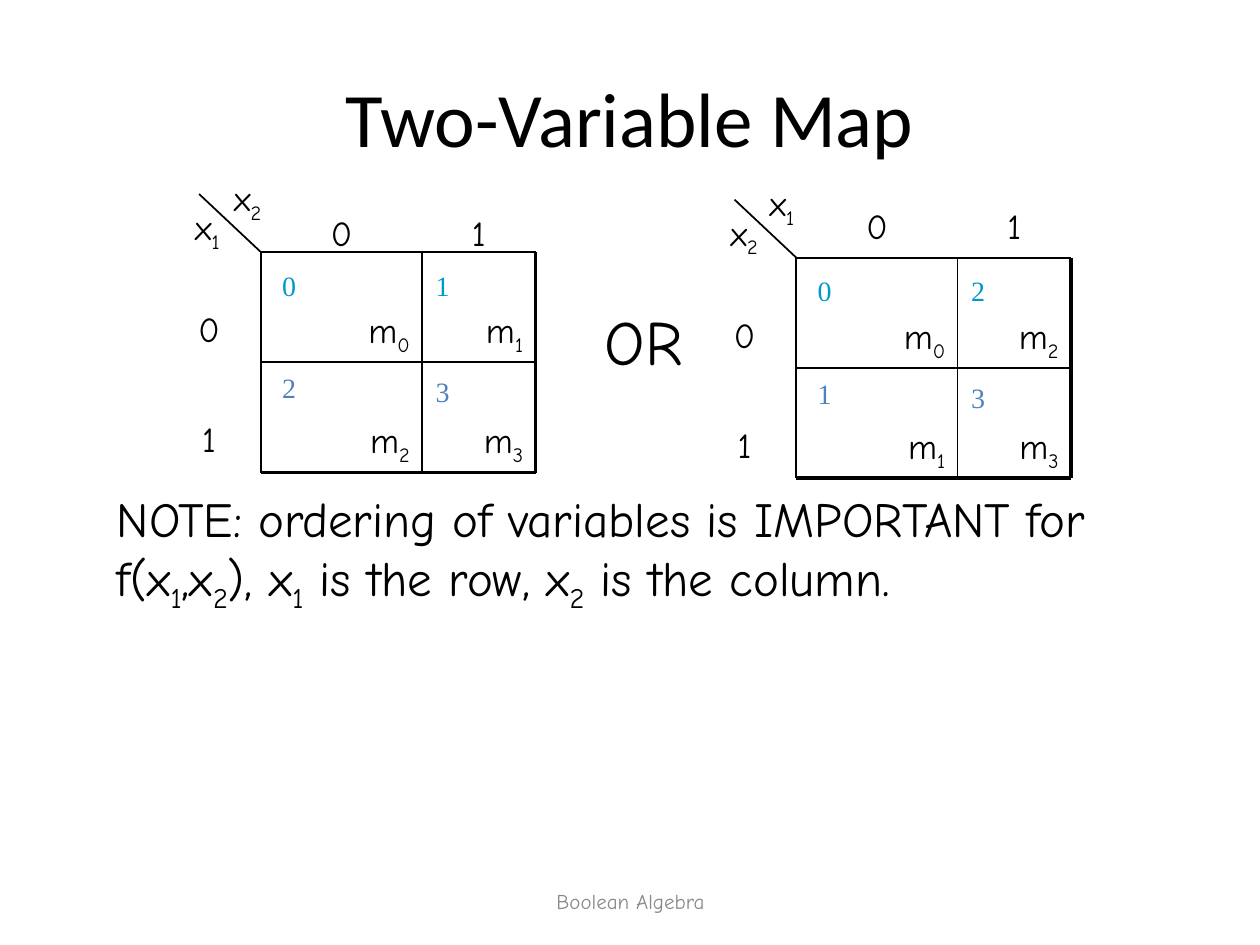
import pptx
import pptx.dml.color
import pptx.enum.shapes
import pptx.enum.text
import pptx.oxml.ns
import pptx.util
from dataclasses import dataclass
from lxml import etree


@dataclass(frozen=True)
class Theme:
    ink: str = "000000"
    muted: str = "898989"
    index_colors: tuple = ("0099CC", "4F81BD")
    title_font: str = "Calibri"
    body_font: str = "Comic Neue"
    index_font: str = "Times New Roman"
    title: int = 44
    joiner: int = 36
    note: int = 28
    label: int = 20
    index: int = 16
    footer: int = 12
    thin: float = 1
    thick: float = 2.25


theme = Theme()
align = pptx.enum.text.PP_ALIGN
anchors = pptx.enum.text.MSO_ANCHOR

deck = pptx.Presentation()
deck.slide_width, deck.slide_height = pptx.util.Inches(10), pptx.util.Inches(7.5)
slide = deck.slides.add_slide(deck.slide_layouts[6])

# The slide is a grid of 100 columns by 75 rows.
COLUMN = deck.slide_width // 100
ROW = deck.slide_height // 75


def add_text(text, left, top, width, height, size=theme.label, font=theme.body_font,
             color=theme.ink, alignment=align.LEFT, anchor=anchors.TOP, wrap=True,
             inset_rows=0.5):
    """Place text on the grid; an underscore makes the next character a subscript."""
    frame = slide.shapes.add_textbox(round(left * COLUMN), round(top * ROW),
                                     round(width * COLUMN), round(height * ROW)).text_frame
    frame.word_wrap = wrap
    frame.vertical_anchor = anchor
    frame.margin_top = round(inset_rows * ROW)
    paragraph = frame.paragraphs[0]
    paragraph.alignment = alignment
    first, *rest = text.split("_")
    pieces = [(first, False)]
    for part in rest:
        pieces += [(part[0], True), (part[1:], False)]
    for piece, subscript in pieces:
        if piece:
            run = paragraph.add_run()
            run.text = piece
            run.font.size = pptx.util.Pt(size)
            run.font.name = font
            run.font.color.rgb = pptx.dml.color.RGBColor.from_string(color)
            if subscript:
                run.font._element.set("baseline", "-25000")


def add_rule(x1, y1, x2, y2, weight=theme.thin):
    rule = slide.shapes.add_connector(
        pptx.enum.shapes.MSO_CONNECTOR.STRAIGHT,
        round(x1 * COLUMN), round(y1 * ROW), round(x2 * COLUMN), round(y2 * ROW))
    rule.line.color.rgb = pptx.dml.color.RGBColor.from_string(theme.ink)
    rule.line.width = pptx.util.Pt(weight)
    etree.SubElement(rule._element.spPr, pptx.oxml.ns.qn("a:effectLst"))


add_text("Two-Variable Map", 5, 3, 90, 12.5, size=theme.title, font=theme.title_font,
         alignment=align.CENTER, anchor=anchors.MIDDLE)
add_text("Boolean Algebra", 34.2, 69.5, 31.7, 4, size=theme.footer, color=theme.muted,
         alignment=align.CENTER, anchor=anchors.MIDDLE)

CELL_WIDTHS = (12.8, 9)
CELL_HEIGHT = 8.75
ROW_LABEL_WIDTH = 8.2
LABEL_DROP = 4.5  # labels sit in the lower half of their cell

# left, top, row variable, column variable, header rise, minterms by row
maps = [
    (20.7, 20, "x_1", "x_2", 7.7, ((0, 1), (2, 3))),
    (63.2, 20.45, "x_2", "x_1", 8.75, ((0, 2), (1, 3))),
]

for left, top, row_variable, column_variable, header_rise, minterms in maps:
    middle = left + CELL_WIDTHS[0]
    right = left + sum(CELL_WIDTHS)
    bottom = top + 2 * CELL_HEIGHT

    add_rule(left - 4.9, top - 4.6, left, top)
    for x, weight in ((left, theme.thin), (middle, theme.thin), (right, theme.thick)):
        add_rule(x, top, x, bottom, weight)
    for y, weight in ((top, theme.thin), (top + CELL_HEIGHT, theme.thin), (bottom, theme.thick)):
        add_rule(left, y, right, y, weight)

    add_text(row_variable, left - 6.2, top - 8.2, ROW_LABEL_WIDTH, CELL_HEIGHT,
             inset_rows=LABEL_DROP)
    add_text(column_variable, left - 3.1, top - 6.5, 5, 4.8, wrap=False)

    for column, (x, width) in enumerate(zip((left, middle), CELL_WIDTHS)):
        add_text(str(column), x, top - header_rise, width, CELL_HEIGHT,
                 alignment=align.CENTER, inset_rows=LABEL_DROP)

    for row, row_minterms in enumerate(minterms):
        y = top + row * CELL_HEIGHT
        add_text(str(row), left - ROW_LABEL_WIDTH, y - 0.1, ROW_LABEL_WIDTH, CELL_HEIGHT,
                 alignment=align.CENTER, inset_rows=LABEL_DROP)
        index_drops = ((0.8, 0.8), (0.2, 0.5))[row]
        for minterm, x, width, index_shift, index_drop in zip(
                row_minterms, (left, middle), CELL_WIDTHS, (0.7, 0.1), index_drops):
            add_text(f"m_{minterm}", x, y, width, CELL_HEIGHT,
                     alignment=align.RIGHT, inset_rows=LABEL_DROP)
            add_text(str(minterm), x + index_shift, y + index_drop, 3.1, 3.7,
                     size=theme.index, font=theme.index_font,
                     color=theme.index_colors[row], wrap=False)

add_text("OR", 47, 23.5, 8.2, 7, size=theme.joiner, wrap=False)
add_text("NOTE: ordering of variables is IMPORTANT for f(x_1,x_2), "
         "x_1 is the row, x_2 is the column.", 8.3, 38.3, 83.3, 11, size=theme.note)

deck.save("out.pptx")
